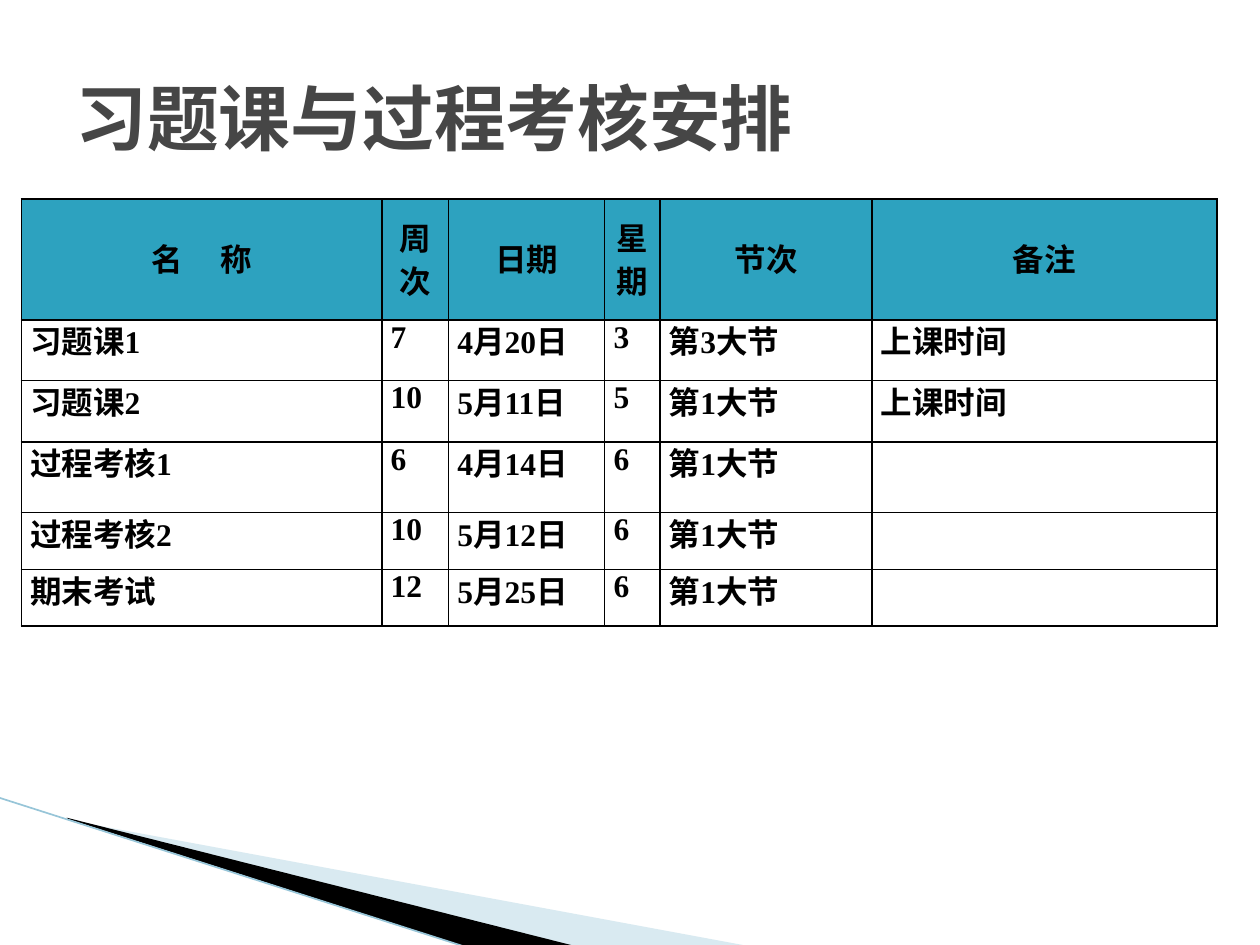
from lxml.etree import SubElement
from pptx import Presentation
from pptx.dml.color import RGBColor
from pptx.enum.shapes import MSO_CONNECTOR
from pptx.enum.text import MSO_ANCHOR, PP_ALIGN
from pptx.oxml.ns import qn
from pptx.util import Inches, Pt

COLORS = {"title": "464646", "text": "000000", "header": "2DA2BF",
          "border": "000000", "pale": "A0CBDC", "dark": "000000", "edge": "97C5D8"}
CJK_FONT = "Noto Sans Mono"

TITLE = "习题课与过程考核安排"
TITLE_FONT = {"size": Pt(41), "name": "Noto Sans Mono", "bold": True}
CELL_FONT = {"size": Pt(18), "name": "Times New Roman", "bold": True}

ROWS = [
    ("名  称", "周次", "日期", "星期", "节次", "备注"),
    ("习题课1", "7", "4月20日", "3", "第3大节", "上课时间"),
    ("习题课2", "10", "5月11日", "5", "第1大节", "上课时间"),
    ("过程考核1", "6", "4月14日", "6", "第1大节", ""),
    ("过程考核2", "10", "5月12日", "6", "第1大节", ""),
    ("期末考试", "12", "5月25日", "6", "第1大节", ""),
]
COL_WIDTHS = [2.86, 0.53, 1.24, 0.44, 1.68, 2.74]
ROW_HEIGHTS = [0.96, 0.48, 0.49, 0.56, 0.45, 0.45]
TABLE_LEFT, TABLE_TOP = 0.17, 1.58
MARGINS = {"margin_left": Inches(0.07), "margin_right": Inches(0.07),
           "margin_top": 0, "margin_bottom": 0}

WEDGES = [
    ("pale", 40, [(0.55, 6.51), (5.95, 7.51), (4.56, 7.51), (0.55, 6.5)]),
    ("dark", 100, [(0.53, 6.49), (4.57, 7.51), (3.72, 7.52), (0.54, 6.5)]),
]
EDGE = (-0.01, 6.33, 3.71, 7.52)


def rgb(name):
    return RGBColor.from_string(COLORS[name])


def set_attrs(obj, values):
    for name, value in values.items():
        setattr(obj, name, value)


def write(p, text, font, color):
    r = p.add_run()
    r.text = text
    set_attrs(r.font, font)
    r.font.color.rgb = rgb(color)
    SubElement(r.font._element, qn("a:ea"), typeface=CJK_FONT)


def add_wedge(s, color, opacity, points):
    corners = [(Inches(x), Inches(y)) for x, y in points]
    builder = s.shapes.build_freeform(*corners[0])
    builder.add_line_segments(corners[1:], close=True)
    sp = builder.convert_to_shape()
    sp.shadow.inherit = False
    sp.fill.solid()
    sp.fill.fore_color.rgb = rgb(color)
    sp.line.fill.background()
    if opacity < 100:
        clr = sp._element.spPr.find(qn("a:solidFill"))[0]
        SubElement(clr, qn("a:alpha"), val=str(opacity * 1000))


def add_edge(s):
    line = s.shapes.add_connector(MSO_CONNECTOR.STRAIGHT, *map(Inches, EDGE))
    line.line.color.rgb = rgb("edge")
    line.line.width = Pt(0.95)
    SubElement(line._element.spPr, qn("a:effectLst"))


def add_title(s):
    box = s.shapes.add_textbox(Inches(0.5), Inches(0.3), Inches(9), Inches(1.25))
    tf = box.text_frame
    set_attrs(tf, {"word_wrap": True, "vertical_anchor": MSO_ANCHOR.MIDDLE})
    write(tf.paragraphs[0], TITLE, TITLE_FONT, "title")


def add_borders(cell):
    tcPr = cell._tc.get_or_add_tcPr()
    for i, side in enumerate(("lnL", "lnR", "lnT", "lnB")):
        ln = tcPr.makeelement(qn(f"a:{side}"), {"w": str(Pt(1))})
        tcPr.insert(i, ln)
        fill = SubElement(ln, qn("a:solidFill"))
        SubElement(fill, qn("a:srgbClr"), val=COLORS["border"])


def fill_cell(cell, text, is_header):
    set_attrs(cell, MARGINS)
    p = cell.text_frame.paragraphs[0]
    if is_header:
        cell.vertical_anchor = MSO_ANCHOR.MIDDLE
        p.alignment = PP_ALIGN.CENTER
        cell.fill.solid()
        cell.fill.fore_color.rgb = rgb("header")
    else:
        p.alignment = PP_ALIGN.JUSTIFY
        cell.fill.background()
    if text:
        write(p, text, CELL_FONT, "text")
    add_borders(cell)


def add_schedule(s):
    table = s.shapes.add_table(
        len(ROWS), len(COL_WIDTHS), Inches(TABLE_LEFT), Inches(TABLE_TOP),
        Inches(sum(COL_WIDTHS)), Inches(sum(ROW_HEIGHTS))).table
    set_attrs(table, {"first_row": False, "horz_banding": False})
    for col, width in zip(table.columns, COL_WIDTHS):
        col.width = Inches(width)
    for i, (row, height, texts) in enumerate(zip(table.rows, ROW_HEIGHTS, ROWS)):
        row.height = Inches(height)
        for cell, text in zip(row.cells, texts):
            fill_cell(cell, text, i == 0)


def main():
    prs = Presentation()
    set_attrs(prs, {"slide_width": Inches(10), "slide_height": Inches(7.5)})
    s = prs.slides.add_slide(prs.slide_layouts[6])
    for wedge in WEDGES:
        add_wedge(s, *wedge)
    add_edge(s)
    add_title(s)
    add_schedule(s)
    prs.save("out.pptx")


if __name__ == "__main__":
    main()
